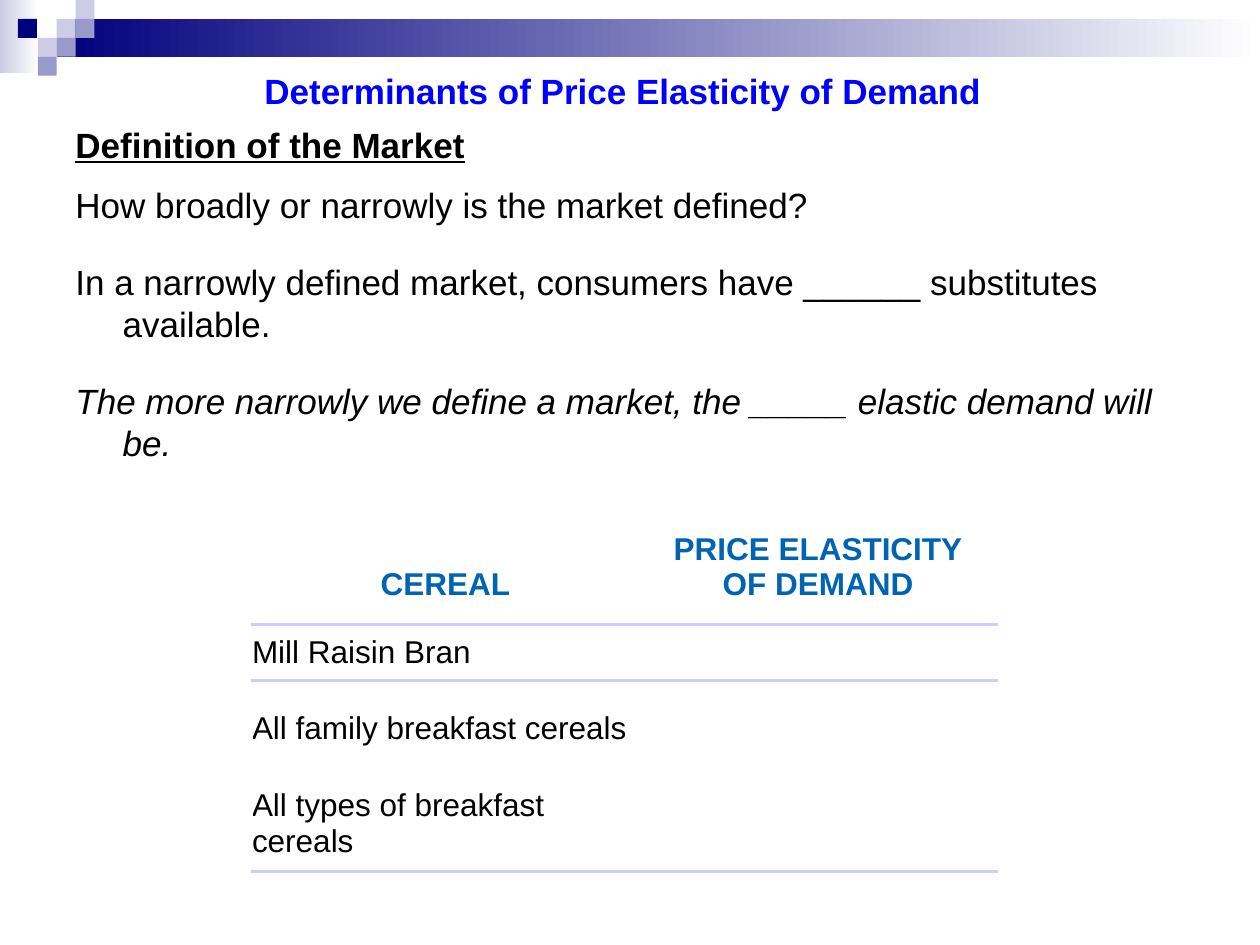
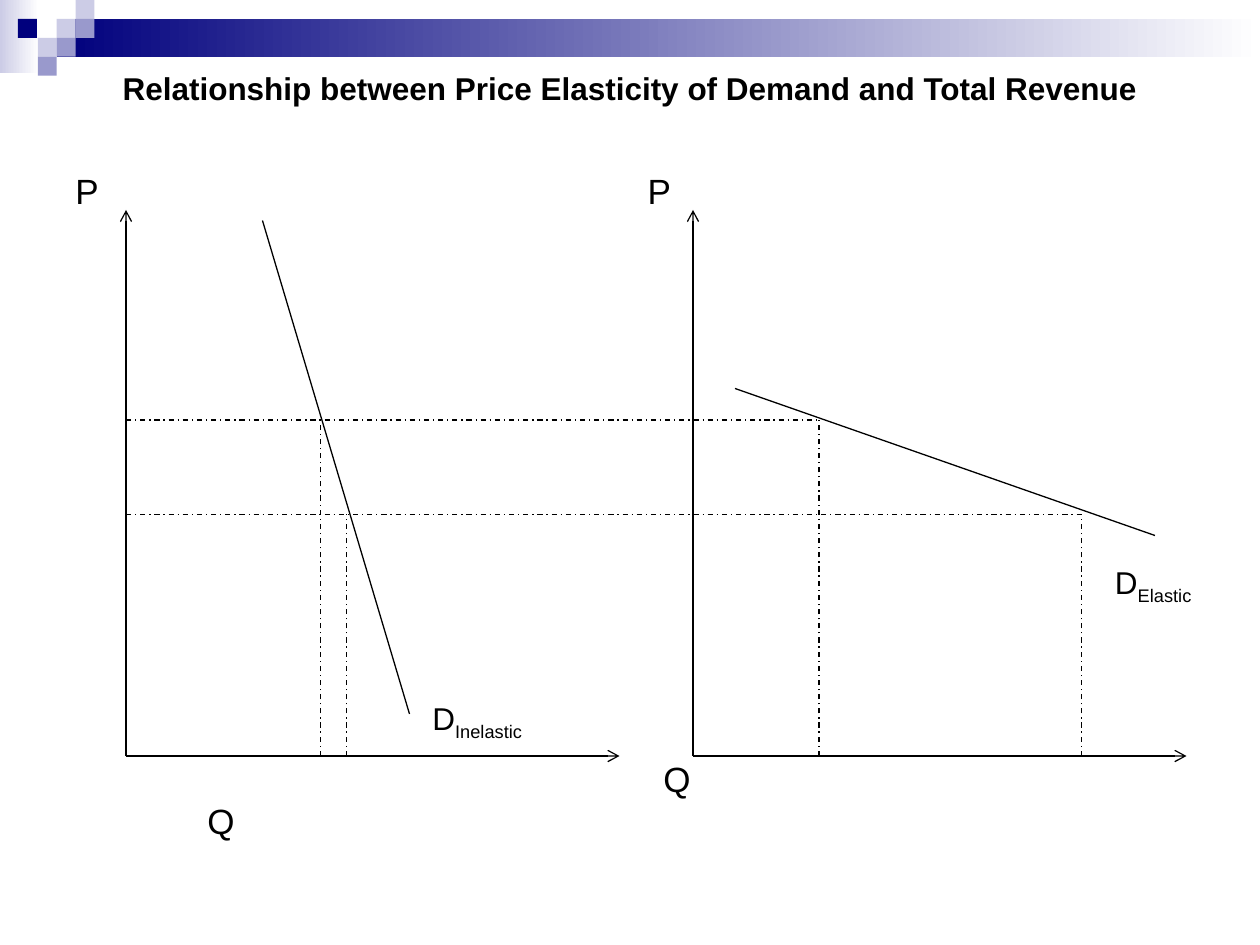
import dataclasses

import pptx
import pptx.dml.color
import pptx.enum.dml
import pptx.enum.shapes
import pptx.enum.text
import pptx.oxml
import pptx.oxml.ns
import pptx.util

Pt = pptx.util.Pt
RGB = pptx.dml.color.RGBColor.from_string
ALIGN = pptx.enum.text.PP_ALIGN
ANCHOR = pptx.enum.text.MSO_ANCHOR
DASH_DOT = pptx.enum.dml.MSO_LINE.DASH_DOT


@dataclasses.dataclass(frozen=True)
class Theme:
    font: str = "Arial"
    black: str = "000000"
    white: str = "FFFFFF"
    navy: str = "00007D"
    lilac: str = "9999CC"
    pale: str = "CCCCE6"
    title_blue: str = "0000FF"
    heading_blue: str = "0064B3"
    rule: str = "CCCCFF"
    body_size: float = 20
    small_size: float = 18
    line_width: float = 0.75
    rule_width: float = 2.25


class Deck:
    """Holds the theme and the slide being drawn."""

    def __init__(self, theme):
        self.theme = theme
        self.presentation = pptx.Presentation()
        self.presentation.slide_width = Pt(720)
        self.presentation.slide_height = Pt(540)
        self.slide = None

    def new_slide(self):
        self.slide = self.presentation.slides.add_slide(self.presentation.slide_layouts[6])
        self.corner_band()

    def corner_band(self):
        theme, step = self.theme, 10.8
        self.rectangle(0, 0, 22.3, 41.8, theme.pale, theme.white)
        self.rectangle(3 * step, step, 720 - 3 * step, 2 * step, theme.navy, theme.white)
        # Checkered squares, as (column, row) of the step
        for column, row, color in (
            (3, 1, theme.pale), (4, 0, theme.pale), (4, 1, theme.lilac),
            (2, 2, theme.pale), (0.95, 1, theme.navy),
            (3, 2, theme.lilac), (2, 3, theme.lilac),
        ):
            self.rectangle(column * step, row * step, step, step, color)

    def rectangle(self, left, top, width, height, color, fade_to=None):
        shape = self.slide.shapes.add_shape(
            pptx.enum.shapes.MSO_SHAPE.RECTANGLE, Pt(left), Pt(top), Pt(width), Pt(height))
        shape.shadow.inherit = False
        shape.line.fill.background()
        if fade_to:
            shape.fill.gradient()
            shape.fill.gradient_angle = 0
            for stop, stop_color in zip(shape.fill.gradient_stops, (color, fade_to)):
                stop.color.rgb = RGB(stop_color)
        else:
            shape.fill.solid()
            shape.fill.fore_color.rgb = RGB(color)

    def style(self, font, size, color=None, bold=False):
        font.name = self.theme.font
        font.size = Pt(size)
        font.bold = bold
        font.color.rgb = RGB(color or self.theme.black)

    def text(self, words, left, top, width, height, size, color=None,
             bold=False, align=ALIGN.LEFT, wrap=False):
        box = self.slide.shapes.add_textbox(Pt(left), Pt(top), Pt(width), Pt(height))
        frame = box.text_frame
        frame.word_wrap = wrap
        frame.text = words
        for paragraph in frame.paragraphs:
            paragraph.alignment = align
            for run in paragraph.runs:
                self.style(run.font, size, color, bold)
        return frame

    def hanging_text(self, lines, left, top, width, height, hanging, gap):
        frame = self.text("\n".join(lines), left, top, width, height,
                          self.theme.body_size, wrap=True)
        for index, paragraph in enumerate(frame.paragraphs):
            properties = paragraph._p.get_or_add_pPr()
            properties.set("marL", str(Pt(hanging)))
            properties.set("indent", str(Pt(-hanging)))
            if index:
                paragraph.space_before = paragraph.space_after = Pt(gap)
        return frame

    def subscripted(self, letter, subscript, left, top, width):
        size = self.theme.small_size
        paragraph = self.text(letter, left, top, width, 29, size).paragraphs[0]
        run = paragraph.add_run()
        run.text = subscript
        self.style(run.font, size)
        run._r.get_or_add_rPr().set("baseline", "-25000")

    def line(self, start, end, dash=None, arrow=False):
        connector = self.slide.shapes.add_connector(
            pptx.enum.shapes.MSO_CONNECTOR.STRAIGHT, *map(Pt, start + end))
        connector.line.width = Pt(self.theme.line_width)
        connector.line.color.rgb = RGB(self.theme.black)
        if dash:
            connector.line.dash_style = dash
        properties = connector._element.spPr
        if arrow:
            outline = properties.find(pptx.oxml.ns.qn("a:ln"))
            outline.append(pptx.oxml.parse_xml(
                f'<a:tailEnd {pptx.oxml.ns.nsdecls("a")} type="arrow"/>'))
        properties.append(pptx.oxml.parse_xml(
            f'<a:effectLst {pptx.oxml.ns.nsdecls("a")}/>'))

    def cell_rule(self, cell, edge):
        cell._tc.get_or_add_tcPr().insert(0, pptx.oxml.parse_xml(
            f'<a:{edge} {pptx.oxml.ns.nsdecls("a")} w="{Pt(self.theme.rule_width)}">'
            f'<a:solidFill><a:srgbClr val="{self.theme.rule}"/></a:solidFill></a:{edge}>'))

    def table(self, rows, left, top, widths, heights):
        table = self.slide.shapes.add_table(
            len(rows), len(widths), Pt(left), Pt(top),
            Pt(sum(widths)), Pt(sum(heights))).table
        table.first_row = table.horz_banding = False
        for column, width in zip(table.columns, widths):
            column.width = Pt(width)
        for index, (row, height) in enumerate(zip(rows, heights)):
            table.rows[index].height = Pt(height)
            header = index == 0
            for cell, words in zip(table.rows[index].cells, row):
                cell.fill.background()
                cell.margin_left = cell.margin_right = 0
                cell.margin_top = Pt(0 if header else 3.6)
                cell.margin_bottom = Pt(13 if header else 3.6)
                cell.vertical_anchor = ANCHOR.BOTTOM if header else ANCHOR.MIDDLE
                cell.text_frame.text = words
                paragraph = cell.text_frame.paragraphs[0]
                paragraph.alignment = ALIGN.CENTER if header else ALIGN.LEFT
                color = self.theme.heading_blue if header else self.theme.black
                self.style(paragraph.font, self.theme.small_size, color, header)
                for run in paragraph.runs:
                    self.style(run.font, self.theme.small_size, color, header)
                if header or index == len(rows) - 1:
                    self.cell_rule(cell, "lnB")
                if index == 1:
                    self.cell_rule(cell, "lnT")


def determinants_slide(deck):
    theme = deck.theme
    deck.new_slide()

    # Market definition
    definition = deck.hanging_text(
        ("Definition of the Market",
         "How broadly or narrowly is the market defined?",
         "In a narrowly defined market, consumers have ______ substitutes available.",
         "The more narrowly we define a market, the _____ elastic demand will be."),
        36, 67, 660, 444, hanging=27, gap=10)
    heading = definition.paragraphs[0].runs[0].font
    heading.bold = heading.underline = True
    definition.paragraphs[-1].runs[0].font.italic = True

    deck.text("Determinants of Price Elasticity of Demand", 144, 36, 427, 32,
              theme.body_size, theme.title_blue, bold=True)

    # Cereal elasticities, left open to be filled in
    deck.table(
        (("CEREAL", "PRICE ELASTICITY\vOF DEMAND"),
         ("Mill Raisin Bran", ""),
         ("All family breakfast cereals", ""),
         ("All types of breakfast cereals", "")),
        144, 300, widths=(221, 205), heights=(57, 32, 54.5, 54.5))


def revenue_slide(deck):
    theme = deck.theme
    deck.new_slide()
    deck.text("Relationship between Price Elasticity of Demand and Total Revenue",
              36, 36, 648, 29, theme.small_size, bold=True,
              align=ALIGN.CENTER, wrap=True)

    # Axes, demand curves and quantities of the two markets
    base, axis_top, axis_length = 432, 120, 282
    prices = (240, 294)
    inelastic_quantities, elastic_quantities = (183, 198), (468, 618)
    markets = (
        (72, ((150, 126), (234, 408)), inelastic_quantities),
        (396, ((420, 222), (660, 306)), elastic_quantities),
    )
    for origin, demand, quantities in markets:
        deck.line((origin, base), (origin, axis_top), arrow=True)
        deck.line((origin, base), (origin + axis_length, base), arrow=True)
        deck.line(*demand)
        for quantity, price in zip(quantities, prices):
            deck.line((quantity, base), (quantity, price), DASH_DOT)

    # Price levels running across both markets
    for price, quantity in zip(prices, elastic_quantities):
        deck.line((markets[0][0], price), (quantity, price), DASH_DOT)

    # Axis and curve labels
    for letter, left, top in (("P", 36, 93.5), ("P", 363, 93.5),
                              ("Q", 111.5, 453.5), ("Q", 372, 429.5)):
        deck.text(letter, left, top, 30, 31, theme.body_size)
    deck.subscripted("D", "Inelastic", 240, 396, 72)
    deck.subscripted("D", "Elastic", 630, 318, 63)


def main():
    deck = Deck(Theme())
    determinants_slide(deck)
    revenue_slide(deck)
    deck.presentation.save("out.pptx")


if __name__ == "__main__":
    main()
